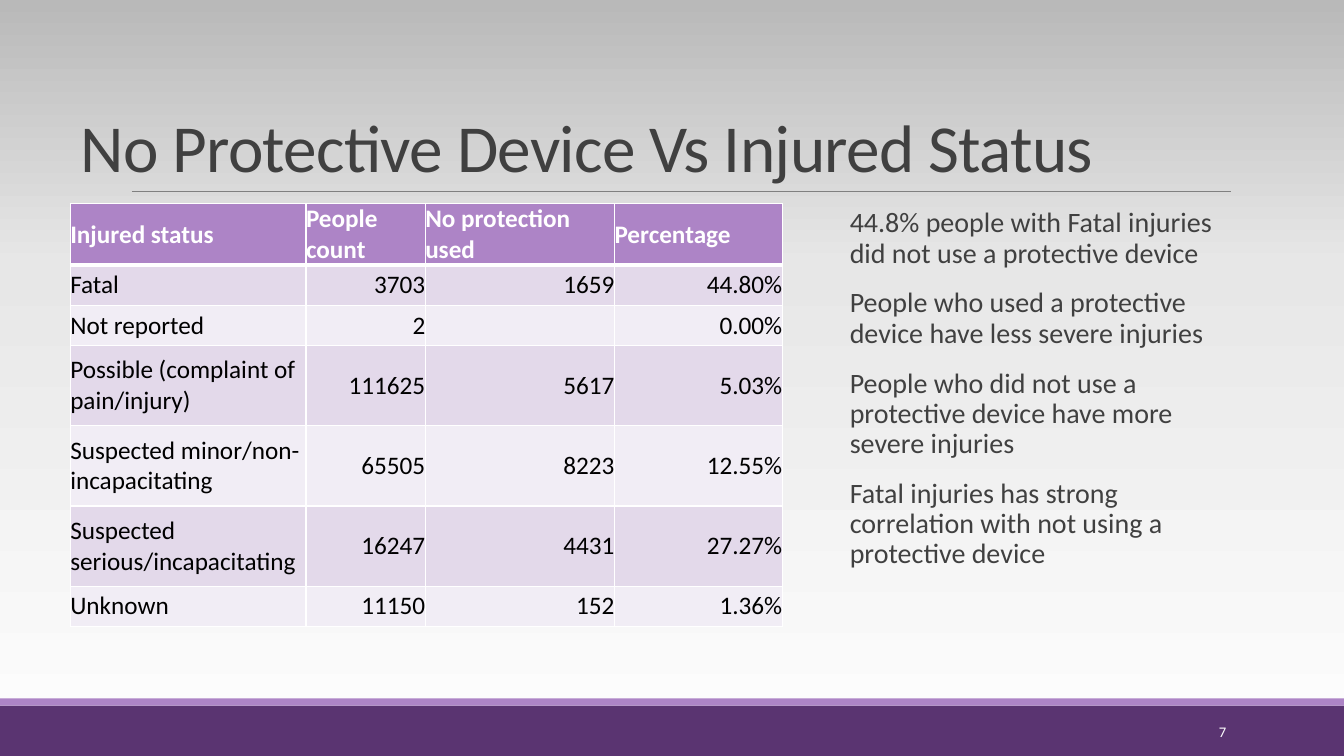
from copy import deepcopy
from dataclasses import dataclass

from pptx import Presentation
from pptx.dml.color import RGBColor
from pptx.enum.shapes import MSO_CONNECTOR, MSO_SHAPE
from pptx.enum.text import MSO_ANCHOR, MSO_AUTO_SIZE, PP_ALIGN
from pptx.oxml.ns import qn
from pptx.util import Pt

# Content
TITLE = "No Protective Device Vs Injured Status"
PAGE = "7"
HEADER = ("Injured status", "People count", "No protection used", "Percentage")
ROWS = [
    ("Fatal", "3703", "1659", "44.80%"),
    ("Not reported", "2", "", "0.00%"),
    ("Possible (complaint of pain/injury)", "111625", "5617", "5.03%"),
    ("Suspected minor/non-incapacitating", "65505", "8223", "12.55%"),
    ("Suspected serious/incapacitating", "16247", "4431", "27.27%"),
    ("Unknown", "11150", "152", "1.36%"),
]
FINDINGS = [
    "44.8% people with Fatal injuries did not use a protective device",
    "People who used a protective device have less severe injuries",
    "People who did not use a protective device have more severe injuries",
    "Fatal injuries has strong correlation with not using a protective device",
]


@dataclass(frozen=True)
class Theme:
    font: str = "Calibri"
    title: float = 48
    body: float = 20
    cell: float = 18
    page: float = 10.5
    ink: str = "404040"
    black: str = "000000"
    white: str = "FFFFFF"
    rule: str = "808080"
    dark: str = "5A3471"
    accent: str = "AD84C6"
    bands: tuple = ("E3D9EA", "F1EDF5")
    backdrop: tuple = ((0, "FEFEFE"), (0.65, "E7E7E7"), (1, "B9B9B9"))


T = Theme()

# Layout, in points
WIDTH, HEIGHT = 960, 540
CONTENT_TOP, CONTENT_H = 145.5, 301
TABLE_LEFT = 50.2
COLS = (168.4, 85.2, 135.2, 119.8)
HEADER_H, LINE_H = 43.8, 28.67
ROW_LINES = (1, 1, 2, 2, 2, 1)


def rgb(value):
    return RGBColor.from_string(value)


def style(p, size, color, bold=False, align=PP_ALIGN.LEFT):
    p.alignment = align
    p.font.name, p.font.size, p.font.bold = T.font, Pt(size), bold
    p.font.color.rgb = rgb(color)


def text_box(slide, left, top, width, height):
    tf = slide.shapes.add_textbox(Pt(left), Pt(top), Pt(width), Pt(height)).text_frame
    tf.word_wrap = True
    return tf


def add_backdrop(slide):
    fill = slide.background.fill
    fill.gradient()
    fill.gradient_angle = 90
    stops = slide._element.find(".//" + qn("a:gsLst"))
    stops.append(deepcopy(stops[-1]))
    for stop, (position, color) in zip(fill.gradient_stops, T.backdrop):
        stop.position = position
        stop.color.rgb = rgb(color)


def add_bar(slide, top, height, color):
    s = slide.shapes.add_shape(MSO_SHAPE.RECTANGLE, 0, Pt(top), Pt(WIDTH), Pt(height))
    s.shadow.inherit = False
    s.fill.solid()
    s.fill.fore_color.rgb = rgb(color)
    s.line.fill.background()


def add_rule(slide):
    s = slide.shapes.add_connector(MSO_CONNECTOR.STRAIGHT, Pt(94.3), Pt(136.8), Pt(879), Pt(136.8))
    s.line.color.rgb = rgb(T.rule)
    s.line.width = Pt(0.5)
    s._element.spPr.append(s._element.makeelement(qn("a:effectLst"), {}))


def add_title(slide):
    s = slide.shapes.title
    s.left, s.top, s.width, s.height = Pt(50.4), Pt(22.6), Pt(828), Pt(114.2)
    tf = s.text_frame
    tf.text = TITLE
    tf.auto_size, tf.vertical_anchor = MSO_AUTO_SIZE.NONE, MSO_ANCHOR.BOTTOM
    p = tf.paragraphs[0]
    style(p, T.title, T.ink)
    p.line_spacing = 0.85
    p._p.pPr.find(qn("a:defRPr")).set("spc", "-50")


def set_borders(cell, bottom):
    tcPr = cell._tc.get_or_add_tcPr()
    for i, (side, width) in enumerate((("L", 1), ("R", 1), ("T", 1), ("B", bottom))):
        ln = tcPr.makeelement(qn("a:ln" + side), {"w": str(Pt(width))})
        tcPr.insert(i, ln)
        solid = ln.makeelement(qn("a:solidFill"), {})
        solid.append(ln.makeelement(qn("a:srgbClr"), {"val": T.white}))
        ln.append(solid)


def add_injury_table(slide):
    heights = [HEADER_H] + [LINE_H * n for n in ROW_LINES]
    table = slide.shapes.add_table(
        len(heights), len(COLS), Pt(TABLE_LEFT), Pt(CONTENT_TOP), Pt(sum(COLS)), Pt(sum(heights))
    ).table
    for column, width in zip(table.columns, COLS):
        column.width = Pt(width)
    for r, (values, height) in enumerate(zip([HEADER] + ROWS, heights)):
        table.rows[r].height = Pt(height)
        head = r == 0
        for c, value in enumerate(values):
            cell = table.cell(r, c)
            cell.text = value
            cell.vertical_anchor = MSO_ANCHOR.MIDDLE
            cell.margin_left = cell.margin_right = cell.margin_top = cell.margin_bottom = 0
            cell.fill.solid()
            cell.fill.fore_color.rgb = rgb(T.accent if head else T.bands[(r - 1) % 2])
            set_borders(cell, 3 if head else 1)
            align = PP_ALIGN.LEFT if head or c == 0 else PP_ALIGN.RIGHT
            style(cell.text_frame.paragraphs[0], T.cell, T.white if head else T.black, head, align)


def add_findings(slide):
    tf = text_box(slide, 599.8, CONTENT_TOP, 278.6, CONTENT_H)
    tf.margin_left = tf.margin_right = 0
    tf.text = "\n".join(FINDINGS)
    for p in tf.paragraphs:
        style(p, T.body, T.ink)
        p.line_spacing, p.space_before, p.space_after = 0.9, Pt(12), Pt(2)
        p._p.pPr.set("marL", str(Pt(7.2)))


def add_page_number(slide):
    tf = text_box(slide, 780, 508.3, 103, 28.8)
    tf.vertical_anchor = MSO_ANCHOR.MIDDLE
    tf.text = PAGE
    style(tf.paragraphs[0], T.page, T.white, align=PP_ALIGN.RIGHT)


def main():
    prs = Presentation()
    prs.slide_width, prs.slide_height = Pt(WIDTH), Pt(HEIGHT)
    slide = prs.slides.add_slide(prs.slide_layouts[5])
    # Background and footer bars
    add_backdrop(slide)
    add_bar(slide, 504, 36, T.dark)
    add_bar(slide, 498.8, 5.2, T.accent)
    # Heading
    add_rule(slide)
    add_title(slide)
    # Body
    add_injury_table(slide)
    add_findings(slide)
    add_page_number(slide)
    prs.save("out.pptx")


if __name__ == "__main__":
    main()
